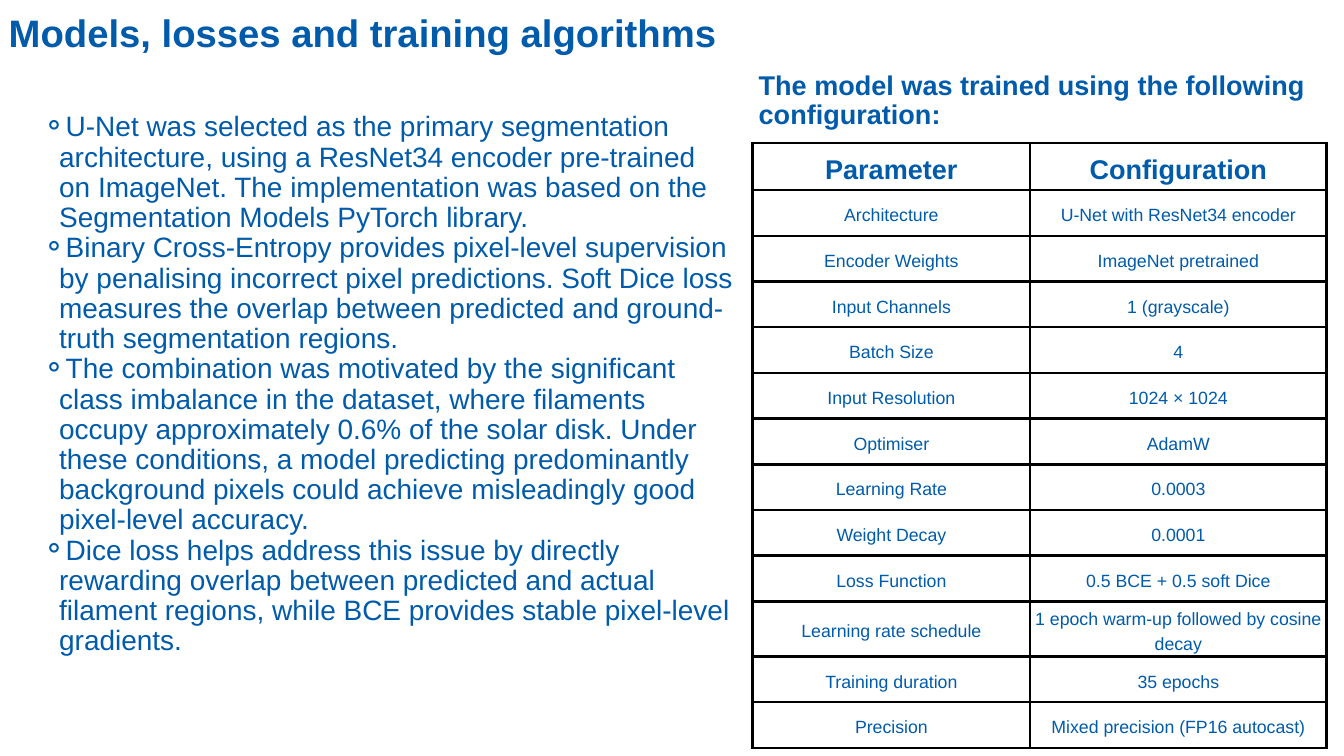
from dataclasses import dataclass

from lxml import etree
from pptx import Presentation
from pptx.dml.color import RGBColor
from pptx.enum.text import MSO_ANCHOR, MSO_AUTO_SIZE, PP_ALIGN
from pptx.oxml.ns import qn
from pptx.util import Inches, Pt

TOP, MIDDLE = MSO_ANCHOR.TOP, MSO_ANCHOR.MIDDLE
LEFT, CENTER = PP_ALIGN.LEFT, PP_ALIGN.CENTER
NO_FIT = MSO_AUTO_SIZE.NONE
BLUE, BLACK = "005BAA", "000000"
NO_MARGINS = dict(margin_left=0, margin_top=0, margin_right=0, margin_bottom=0)


@dataclass
class Style:
    size: float
    spacing: float
    bold: bool = False
    align: int = LEFT


TITLE = Style(41, 44.3, True)
BODY = Style(30, 32.4)
CAPTION = Style(29, 31.3, True)
HEADER = Style(29, 40.6, True, CENTER)
CELL = Style(19, 26.6, False, CENTER)

POINTS = [
    "U-Net was selected as the primary segmentation architecture, using a ResNet34 encoder "
    "pre-trained on ImageNet. The implementation was based on the Segmentation Models "
    "PyTorch library.",
    "Binary Cross-Entropy provides pixel-level supervision by penalising incorrect pixel "
    "predictions. Soft Dice loss measures the overlap between predicted and ground-truth "
    "segmentation regions.",
    "The combination was motivated by the significant class imbalance in the dataset, where "
    "filaments occupy approximately 0.6% of the solar disk. Under these conditions, a model "
    "predicting predominantly background pixels could achieve misleadingly good pixel-level "
    "accuracy.",
    "Dice loss helps address this issue by directly rewarding overlap between predicted and "
    "actual filament regions, while BCE provides stable pixel-level gradients.",
]

ROWS = [
    ("Parameter", "Configuration"),
    ("Architecture", "U-Net with ResNet34 encoder"),
    ("Encoder Weights", "ImageNet pretrained"),
    ("Input Channels", "1 (grayscale)"),
    ("Batch Size", "4"),
    ("Input Resolution", "1024 × 1024"),
    ("Optimiser", "AdamW"),
    ("Learning Rate", "0.0003"),
    ("Weight Decay", "0.0001"),
    ("Loss Function", "0.5 BCE + 0.5 soft Dice"),
    ("Learning rate schedule", "1 epoch warm-up followed by cosine decay"),
    ("Training duration", "35 epochs"),
    ("Precision", "Mixed precision (FP16 autocast)"),
]
COL_WIDTHS = (4.13, 4.41)
ROW_HEIGHT = 0.68
SPECIAL_HEIGHTS = {0: 0.7, 10: 0.82}


def color(value: str) -> RGBColor:
    return RGBColor.from_string(value)


def apply(target, values: dict) -> None:
    for name, value in values.items():
        setattr(target, name, value)


def write(p, text: str, style: Style) -> None:
    apply(p, dict(alignment=style.align, line_spacing=Pt(style.spacing),
                  space_before=Pt(0), space_after=Pt(0)))
    r = p.add_run()
    r.text = text
    apply(r.font, dict(name="Arial", size=Pt(style.size), bold=style.bold))
    r.font.color.rgb = color(BLUE)


def add_bullet(p) -> None:
    p.level = 2
    pPr = p._p.get_or_add_pPr()
    pPr.set("marL", str(Inches(0.75)))
    pPr.set("indent", str(Inches(-0.25)))
    etree.SubElement(pPr, qn("a:buFont"), typeface="Arial")
    etree.SubElement(pPr, qn("a:buChar"), char="⚬")


def fill_box(sp, at: tuple, texts: list[str], style: Style, bullets: bool = False) -> None:
    apply(sp, dict(zip(("left", "top", "width", "height"), map(Inches, at))))
    tf = sp.text_frame
    apply(tf, dict(NO_MARGINS, word_wrap=True, auto_size=NO_FIT, vertical_anchor=TOP))
    for i, text in enumerate(texts):
        p = tf.add_paragraph() if i else tf.paragraphs[0]
        if bullets:
            add_bullet(p)
        write(p, text, style)


def add_borders(cell) -> None:
    tcPr = cell._tc.get_or_add_tcPr()
    for side in ("lnL", "lnR", "lnT", "lnB"):
        ln = etree.SubElement(tcPr, qn(f"a:{side}"), w=str(Pt(3)))
        fill = etree.SubElement(ln, qn("a:solidFill"))
        etree.SubElement(fill, qn("a:srgbClr"), val=BLACK)


def add_config_table(s) -> None:
    heights = [SPECIAL_HEIGHTS.get(i, ROW_HEIGHT) for i in range(len(ROWS))]
    table = s.shapes.add_table(len(ROWS), len(COL_WIDTHS), Inches(11.2), Inches(2.13),
                               Inches(sum(COL_WIDTHS)), Inches(sum(heights))).table
    apply(table, dict(first_row=False, horz_banding=False))
    for column, width in zip(table.columns, COL_WIDTHS):
        column.width = Inches(width)
    for i, (row, height, texts) in enumerate(zip(table.rows, heights, ROWS)):
        row.height = Inches(height)
        for cell, text in zip(row.cells, texts):
            apply(cell, dict(NO_MARGINS, vertical_anchor=MIDDLE))
            add_borders(cell)
            cell.fill.background()
            write(cell.text_frame.paragraphs[0], text, CELL if i else HEADER)


def main() -> None:
    prs = Presentation()
    prs.slide_width, prs.slide_height = Inches(20), Inches(11.25)
    s = prs.slides.add_slide(prs.slide_layouts[1])

    # Title and bullet list
    fill_box(s.shapes.title, (0.13, 0.2, 10.78, 0.62),
             ["Models, losses and training algorithms"], TITLE)
    fill_box(s.placeholders[1], (0.13, 1.67, 10.78, 9.03), POINTS, BODY, bullets=True)

    # Training configuration
    caption = s.shapes.add_textbox(0, 0, 0, 0)
    fill_box(caption, (11.29, 1.07, 8.37, 0.86),
             ["The model was trained using the following configuration:"], CAPTION)
    add_config_table(s)

    prs.save("out.pptx")


if __name__ == "__main__":
    main()
